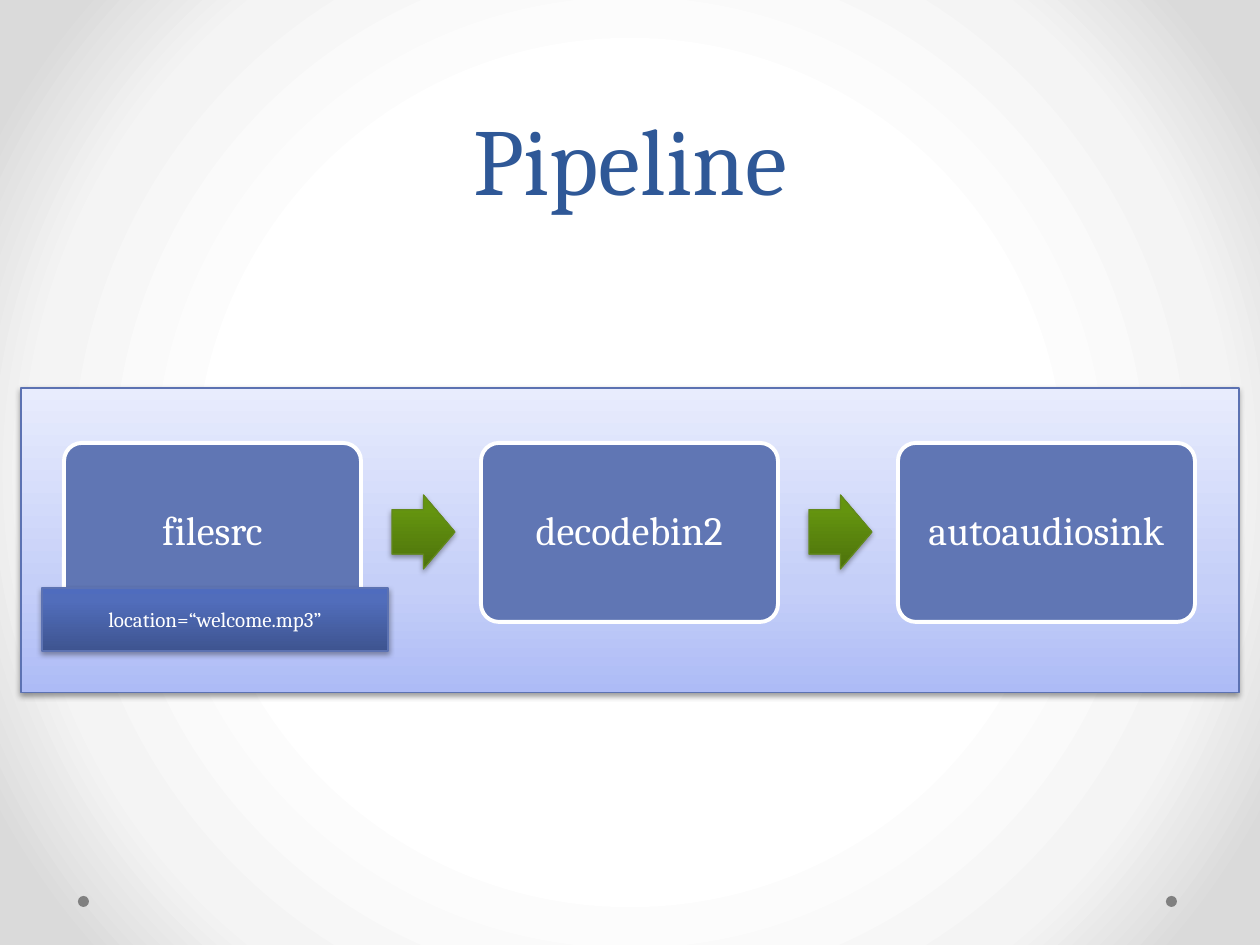
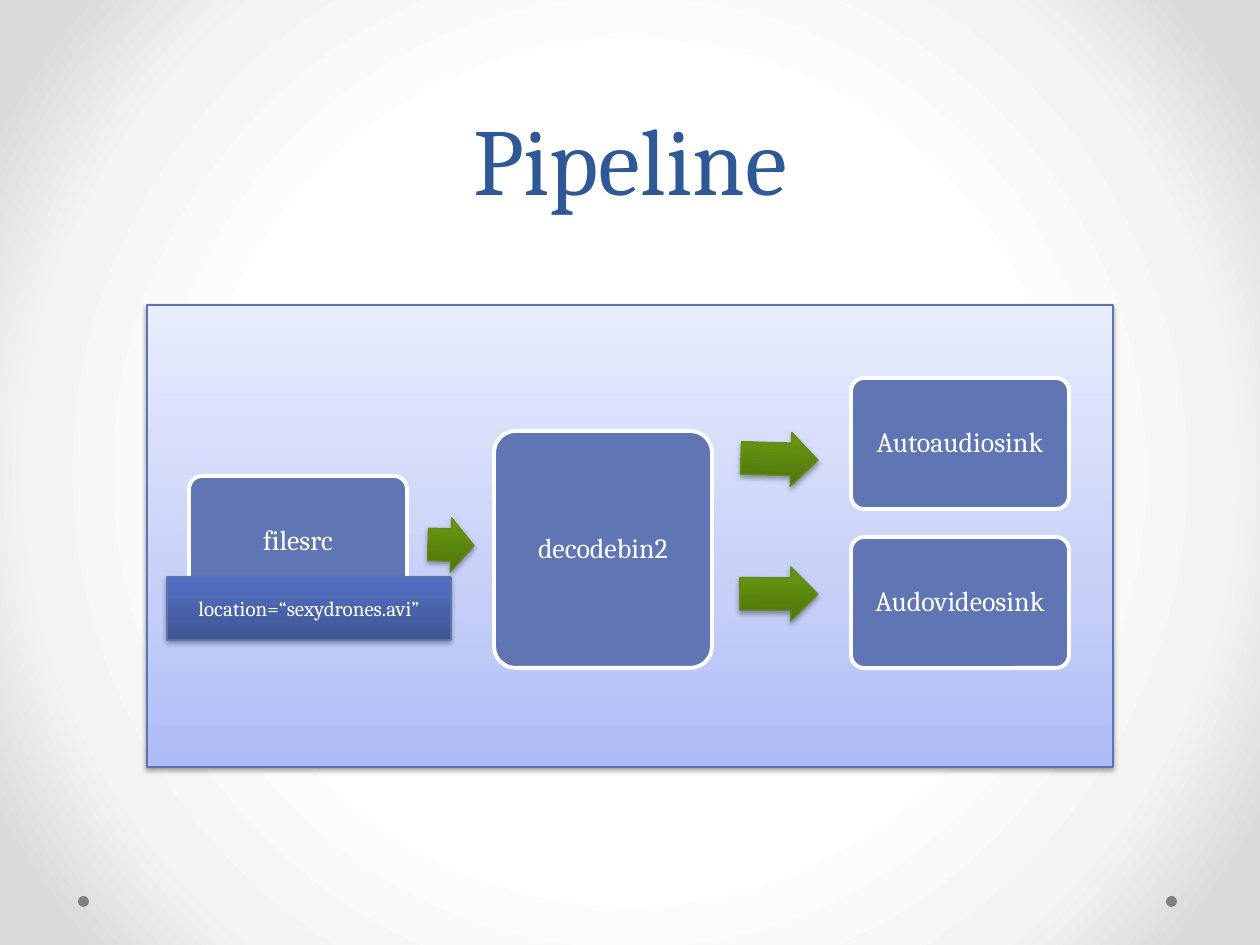
from lxml import etree
from pptx import Presentation, util as u
from pptx.dml.color import RGBColor
from pptx.enum import shapes, text
from pptx.oxml.ns import qn

PX = u.Inches(10) // 1260
FONT = "Cambria"
WHITE, TITLE_BLUE, DOT_GREY = "FFFFFF", "2F5897", "808080"
BACKDROP = [(50, "FFFFFF"), (76, "F4F4F4"), (92, "DADADA")]

# Each style: preset shape, fill, line colour, line points, shadow opacity, adjustments
KIND = shapes.MSO_SHAPE
STYLES = {
    "dot": (KIND.OVAL, DOT_GREY, None, 0, 0, []),
    "panel": (KIND.RECTANGLE, [(0, "ADBBF6"), (35, "C5CFF8"), (100, "E8ECFD")],
              "5C72B2", 0.75, 38, []),
    "element": (KIND.ROUNDED_RECTANGLE, "6076B4", WHITE, 2.25, 0, [0.1]),
    "arrow": (KIND.RIGHT_ARROW, [(0, "4D720B"), (80, "64940F"), (100, "65970C")],
              "62891C", 0.75, 35, [0.6, 0.5]),
    "property": (KIND.RECTANGLE, [(0, "3E5490"), (80, "516DBB"), (100, "4F6CBE")],
                 "5C72B2", 0.75, 35, []),
}


def paint(fill, colours, owner=None, radial=False):
    """Fill with one hex colour, or with (percent, hex) stops inside owner."""
    if isinstance(colours, str):
        fill.solid()
        fill.fore_color.rgb = RGBColor.from_string(colours)
        return
    fill.gradient()
    gradient = next(owner.iter(qn("a:gradFill")))
    for child in list(gradient):
        gradient.remove(child)
    stops = etree.SubElement(gradient, qn("a:gsLst"))
    for percent, colour in colours:
        stop = etree.SubElement(stops, qn("a:gs"), pos=str(percent * 1000))
        etree.SubElement(stop, qn("a:srgbClr"), val=colour)
    if radial:
        shade = etree.SubElement(gradient, qn("a:path"), path="circle")
        etree.SubElement(shade, qn("a:fillToRect"), {side: "50000" for side in "ltrb"})
    else:
        etree.SubElement(gradient, qn("a:lin"), ang=str(270 * 60000), scaled="0")


def write(frame, words, size, colour=WHITE, spacing=None,
          anchor=text.MSO_ANCHOR.MIDDLE, inset=13):
    frame.word_wrap = True
    frame.auto_size = text.MSO_AUTO_SIZE.NONE
    frame.vertical_anchor = anchor
    frame.margin_left = frame.margin_right = inset * PX
    frame.margin_top = frame.margin_bottom = 6 * PX
    para = frame.paragraphs[0]
    para.alignment = text.PP_ALIGN.CENTER
    para.line_spacing = spacing
    span = para.add_run()
    span.text = words
    span.font.name = FONT
    span.font.size = u.Pt(size)
    paint(span.font.fill, colour)


# Parts on every slide: style, place in px, turn in degrees, words, text size
dots = [("dot", (x, 896, 11, 11), 0, "", 0) for x in (1166, 78)]

# Audio pipeline: three elements at an equal step
STEP = 417
audio = [("panel", (21, 388, 1218, 305), 0, "", 0)]
for i, name in enumerate(["filesrc", "decodebin2", "autoaudiosink"]):
    audio.append(("element", (64 + i * STEP, 443, 297, 179), 0, name, 23))
    if i < 2:
        audio.append(("arrow", (392 + i * STEP, 495, 63, 74), 0, "", 0))
audio.append(("property", (42, 588, 346, 63), 0, "location=“welcome.mp3”", 12))

# Video pipeline: the decoder feeds two sinks
video = [
    ("panel", (147, 305, 966, 462), 0, "", 0),
    ("element", (189, 476, 218, 131), 0, "filesrc", 16),
    ("arrow", (428, 518, 46, 54), 1.5, "", 0),
    ("element", (494, 431, 218, 237), 0, "decodebin2", 16),
    ("arrow", (741, 432, 77, 54), 1.7, "", 0),
    ("arrow", (740, 567, 78, 54), 0.2, "", 0),
    ("element", (851, 378, 218, 131), 0, "Autoaudiosink", 16),
    ("element", (851, 537, 218, 131), 0, "Audovideosink", 16),
    ("property", (167, 577, 284, 63), 0, "location=“sexydrones.avi”", 12),
]

deck = Presentation()
deck.slide_width, deck.slide_height = 1260 * PX, 945 * PX
master = deck.slide_master
paint(master.background.fill, BACKDROP, master.element, radial=True)

for parts in (audio, video):
    page = deck.slides.add_slide(deck.slide_layouts[5])

    # Title
    title = page.shapes.title
    title.left, title.top, title.width, title.height = [n * PX for n in (63, 0, 1134, 220)]
    write(title.text_frame, "Pipeline", 54, TITLE_BLUE, u.Pt(58), text.MSO_ANCHOR.BOTTOM)

    # Dots and pipeline
    for style, place, turn, words, size in dots + parts:
        kind, colours, edge, points, opacity, adjustments = STYLES[style]
        box = page.shapes.add_shape(kind, *[n * PX for n in place])
        box.rotation = turn
        for i, value in enumerate(adjustments):
            box.adjustments[i] = value
        paint(box.fill, colours, box.element)
        if edge:
            paint(box.line.fill, edge)
            box.line.width = u.Pt(points)
        else:
            box.line.fill.background()
        box.shadow.inherit = False
        if opacity:
            effects = box.element.spPr.find(qn("a:effectLst"))
            shadow = etree.SubElement(
                effects, qn("a:outerShdw"), blurRad=str(u.Pt(3.1)), dist=str(u.Pt(1.7)),
                dir=str(90 * 60000), rotWithShape="0")
            tint = etree.SubElement(shadow, qn("a:srgbClr"), val="000000")
            etree.SubElement(tint, qn("a:alpha"), val=str(opacity * 1000))
        if words:
            write(box.text_frame, words, size, spacing=0.9 if style == "element" else None)

deck.save("out.pptx")
